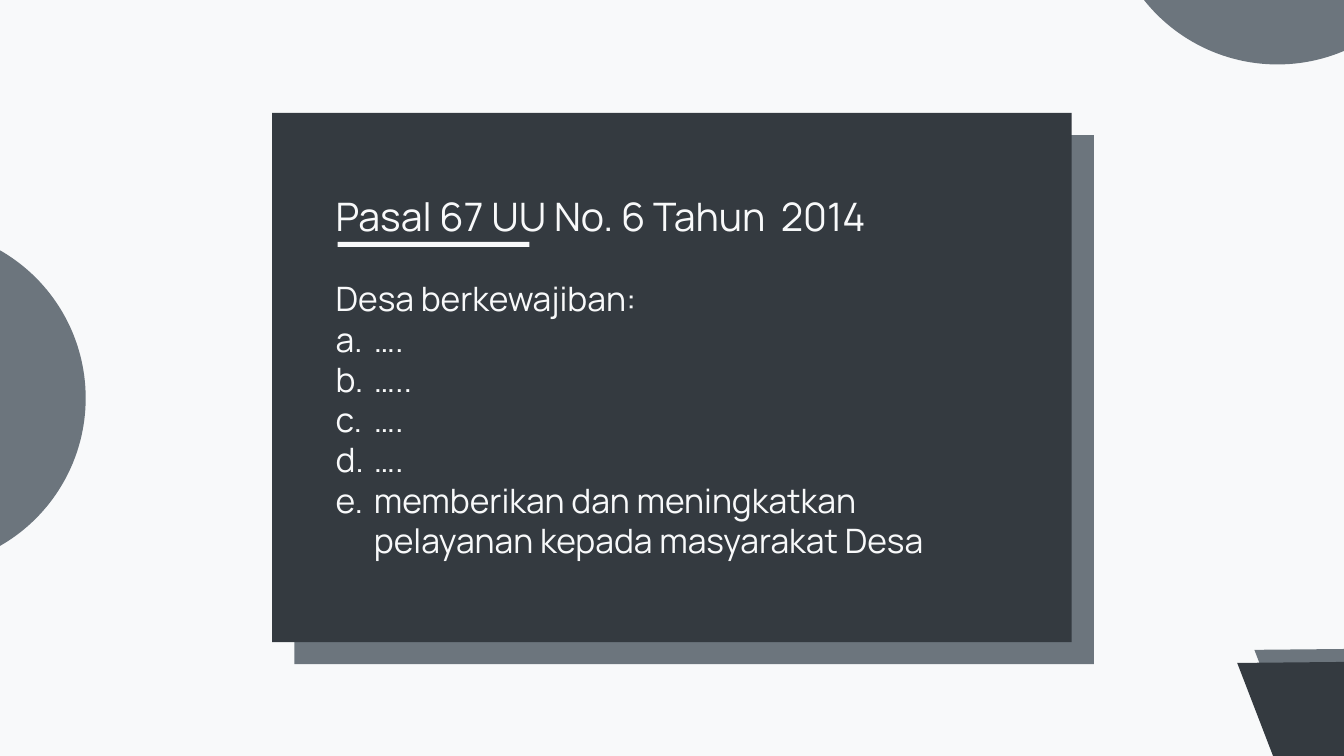
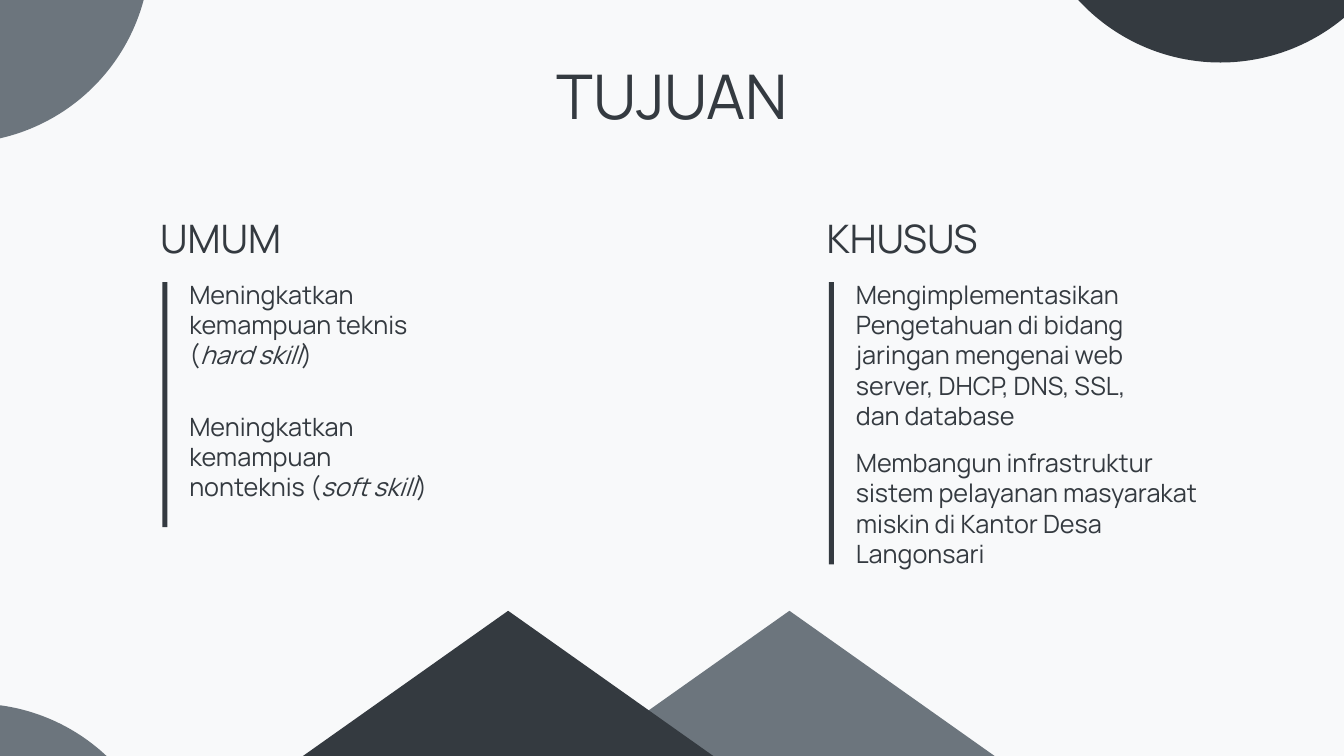
from dataclasses import dataclass

from lxml.etree import SubElement
from pptx import Presentation
from pptx.dml.color import RGBColor
from pptx.enum.shapes import MSO_SHAPE as Shape
from pptx.enum.text import MSO_ANCHOR as Anchor, MSO_AUTO_SIZE as AutoSize, PP_ALIGN as Align
from pptx.oxml.ns import qn
from pptx.util import Inches, Pt


@dataclass(frozen=True)
class Theme:
    font: str = "Manrope"
    light: RGBColor = RGBColor(0xF8, 0xF9, 0xFA)
    grey: RGBColor = RGBColor(0x6C, 0x75, 0x7D)
    dark: RGBColor = RGBColor(0x34, 0x3A, 0x40)
    title: int = 44
    heading: int = 28
    article: int = 24
    body: int = 18


theme = Theme()


def add_block(page, kind, box, colour, rotation=0):
    block = page.shapes.add_shape(kind, *map(Inches, box))
    block.shadow.inherit = False
    block.fill.solid()
    block.fill.fore_color.rgb = colour
    block.line.fill.background()
    block.rotation = rotation


def write_text(page, box, paragraphs, size, colour, is_title=False, align=Align.LEFT):
    if is_title:
        holder = page.shapes.title
        page.shapes[-1].element.addnext(holder.element)
        holder.left, holder.top, holder.width, holder.height = map(Inches, box)
    else:
        holder = page.shapes.add_textbox(*map(Inches, box))
    frame = holder.text_frame
    frame.word_wrap = True
    frame.auto_size = AutoSize.SHAPE_TO_FIT_TEXT
    frame.vertical_anchor = Anchor.TOP
    for row, pieces in enumerate(paragraphs):
        para = frame.add_paragraph() if row else frame.paragraphs[0]
        para.alignment = align
        for order, piece in enumerate(pieces):
            span = para.add_run()
            span.text = piece
            span.font.name = theme.font
            span.font.size = Pt(size)
            span.font.color.rgb = colour
            span.font.italic = order % 2 == 1
    return frame


deck = Presentation()
deck.slide_width = Inches(13.33)
deck.slide_height = Inches(7.5)
backdrop = deck.slide_master.background.fill
backdrop.solid()
backdrop.fore_color.rgb = theme.light
title_only = deck.slide_layouts[5]

page = deck.slides.add_slide(title_only)
for kind, box, colour, rotation in [
    (Shape.ISOSCELES_TRIANGLE, (11.87, 6, 2.83, 2.04), theme.grey, 304.2),
    (Shape.RECTANGLE, (2.92, 1.34, 7.93, 5.25), theme.grey, 0),
    (Shape.RECTANGLE, (2.7, 1.12, 7.93, 5.25), theme.dark, 0),
    (Shape.RECTANGLE, (3.35, 2.4, 1.9, 0.05), theme.light, 0),
    (Shape.OVAL, (-2.53, 2.26, 3.38, 3.38), theme.grey, 0),
    (Shape.OVAL, (10.98, -2.74, 3.38, 3.38), theme.grey, 0),
    (Shape.ISOSCELES_TRIANGLE, (11.7, 6.13, 2.83, 2.04), theme.dark, 304.2),
]:
    add_block(page, kind, box, colour, rotation)
write_text(page, (3.23, 1.86, 6.3, 0.57), [["Pasal 67 UU No. 6 Tahun  2014"]],
           theme.heading, theme.light, is_title=True)
duties = ["….", "…..", "….", "….",
          "memberikan dan meningkatkan pelayanan kepada masyarakat Desa"]
article = write_text(page, (3.23, 2.71, 6.88, 2.93),
                     [["Desa berkewajiban:"]] + [[duty] for duty in duties],
                     theme.article, theme.light)
for para in article.paragraphs[1:]:
    settings = para._p.get_or_add_pPr()
    settings.set("marL", str(Inches(0.38)))
    settings.set("indent", str(-Inches(0.38)))
    SubElement(settings, qn("a:buFont")).set("typeface", "+mj-lt")
    SubElement(settings, qn("a:buAutoNum")).set("type", "alphaLcPeriod")

page = deck.slides.add_slide(title_only)
columns = [
    (1.49, "UMUM", 2.43, [
        (2.72, 2.56, 1.01, [["Meningkatkan kemampuan teknis (", "hard skill", ")"]]),
        (4.03, 2.56, 1.31, [["Meningkatkan kemampuan nonteknis (", "soft skill", ")"]]),
    ]),
    (8.1, "KHUSUS", 2.8, [
        (2.72, 3.33, 1.62, [
            ["Mengimplementasikan"],
            ["Pengetahuan di bidang jaringan mengenai web server, DHCP, DNS, SSL, dan database"],
        ]),
        (4.39, 3.59, 1.31, [
            ["Membangun infrastruktur sistem pelayanan masyarakat miskin di Kantor Desa Langonsari"],
        ]),
    ]),
]
for left, heading, bar_height, goals in columns:
    write_text(page, (left, 2.08, 1.91, 0.57), [[heading]], theme.heading, theme.dark)
    add_block(page, Shape.RECTANGLE, (left + 0.12, 2.8, 0.05, bar_height), theme.dark)
    for top, width, height, paragraphs in goals:
        write_text(page, (left + 0.29, top, width, height), paragraphs, theme.body, theme.dark)
for left, colour in [(5.23, theme.grey), (2.44, theme.dark)]:
    add_block(page, Shape.ISOSCELES_TRIANGLE, (left, 6.06, 5.2, 1.84), colour)
for left, top, colour in [
    (-2.34, -2.41, theme.grey),
    (-2.17, 6.98, theme.grey),
    (10.19, -3.21, theme.dark),
]:
    add_block(page, Shape.OVAL, (left, top, 3.83, 3.83), colour)
write_text(page, (5.23, 0.52, 2.87, 0.84), [["TUJUAN"]],
           theme.title, theme.dark, is_title=True, align=Align.CENTER)

deck.save("out.pptx")
